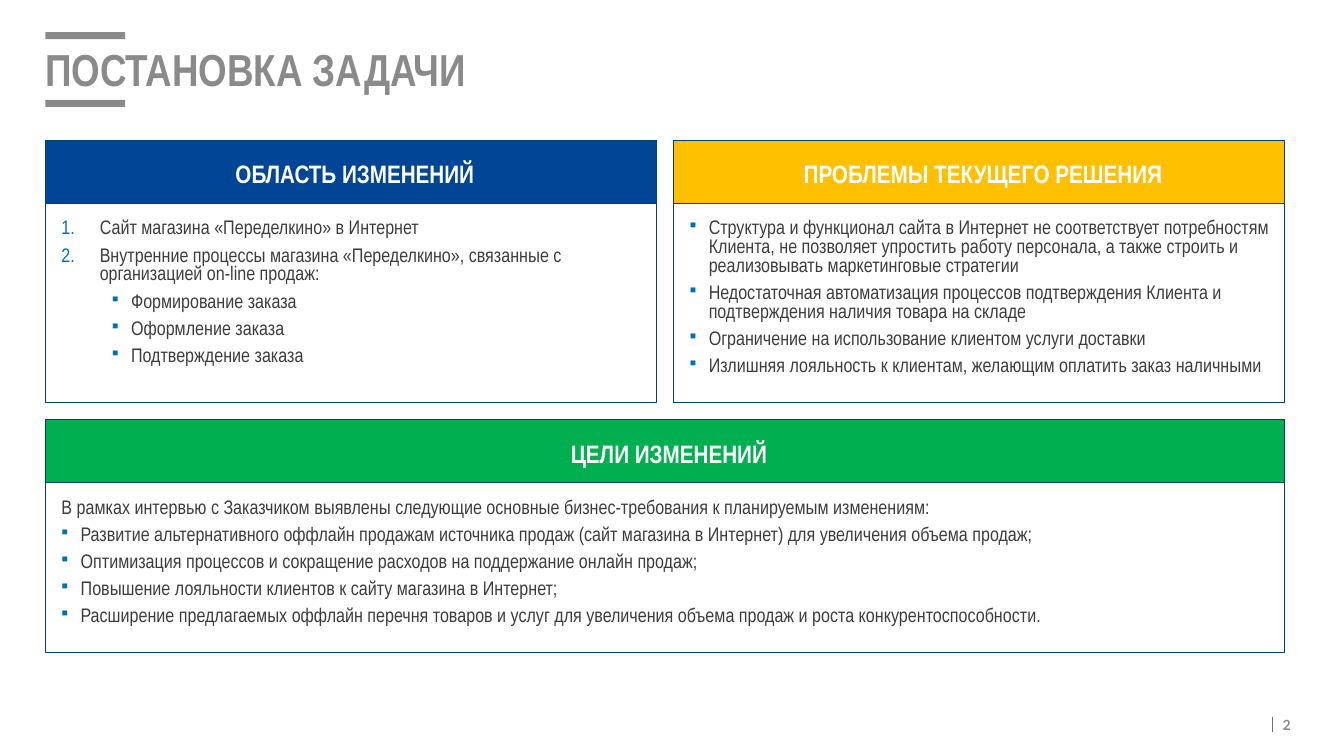
from dataclasses import dataclass

from lxml.etree import SubElement
from pptx import Presentation
from pptx.dml.color import RGBColor
from pptx.enum.shapes import MSO_CONNECTOR, MSO_SHAPE
from pptx.enum.text import MSO_ANCHOR, MSO_AUTO_SIZE, PP_ALIGN
from pptx.oxml.ns import qn
from pptx.util import Pt

PX = 9144
WIDE, HIGH = 1333, 750
EDGE, GAP = 45, 17


@dataclass(frozen=True)
class Theme:
    """Colours, fonts and type sizes of the deck."""
    gray: str = "8A8A8A"
    rule: str = "706F6F"
    line: str = "004077"
    mark: str = "0070BA"
    ink: str = "3C3C3C"
    white: str = "FFFFFF"
    blue: str = "004596"
    gold: str = "FFC000"
    green: str = "00B050"
    face: str = "Arial Narrow"
    small: str = "Lato"
    title: int = 32
    head: int = 18
    body: int = 14
    page: int = 10


LOOK = Theme()
STYLES = {
    "plain": (0, 0, 0, None),
    "number": (0, 38, -38, ("buAutoNum", "type", "arabicPeriod")),
    "square": (0, 19, -19, ("buChar", "char", "▪")),
    "sub": (1, 69, -19, ("buChar", "char", "▪")),
}

SCOPE = [
    ("number", "Сайт магазина «Переделкино» в Интернет"),
    ("number", "Внутренние процессы магазина «Переделкино», связанные с "
               "организацией on-line продаж:"),
    ("sub", "Формирование заказа"),
    ("sub", "Оформление заказа"),
    ("sub", "Подтверждение заказа"),
]
ISSUES = [
    ("square", "Структура и функционал сайта в Интернет не соответствует "
               "потребностям Клиента, не позволяет упростить работу персонала, "
               "а также строить и реализовывать маркетинговые стратегии"),
    ("square", "Недостаточная автоматизация процессов подтверждения Клиента и "
               "подтверждения наличия товара на складе"),
    ("square", "Ограничение на использование клиентом услуги доставки"),
    ("square", "Излишняя лояльность к клиентам, желающим оплатить заказ наличными"),
]
GOALS = [
    ("plain", "В рамках интервью с Заказчиком выявлены следующие основные "
              "бизнес-требования к планируемым изменениям:"),
    ("square", "Развитие альтернативного оффлайн продажам источника продаж "
               "(сайт магазина в Интернет) для увеличения объема продаж;"),
    ("square", "Оптимизация процессов и сокращение расходов на поддержание "
               "онлайн продаж;"),
    ("square", "Повышение лояльности клиентов к сайту магазина в Интернет;"),
    ("square", "Расширение предлагаемых оффлайн перечня товаров и услуг для "
               "увеличения объема продаж и роста конкурентоспособности."),
]


def assign(item, **values):
    """Set every given attribute on the item."""
    for name, value in values.items():
        setattr(item, name, value)


def scale(*sizes):
    """Turn px lengths into EMU."""
    return [size * PX for size in sizes]


def setup(frame, pad, anchor):
    """Set the insets, anchor and wrapping of a text frame."""
    left, top, right, foot = scale(*pad)
    assign(frame, margin_left=left, margin_top=top, margin_right=right,
           margin_bottom=foot, vertical_anchor=anchor, word_wrap=True,
           auto_size=MSO_AUTO_SIZE.NONE)


def write(para, text, size, color, bold=False, face=LOOK.face, **form):
    """Fill a paragraph with one formatted run."""
    assign(para, **{"alignment": PP_ALIGN.LEFT, **form})
    run = para.add_run()
    run.text = text
    assign(run.font, size=Pt(size), bold=bold, name=face)
    run.font.color.rgb = RGBColor.from_string(color)


def bullet(para, style):
    """Give a paragraph the level, indent and marker of its style."""
    level, left, hang, mark = STYLES[style]
    para.level = level
    props = para._p.get_or_add_pPr()
    props.set("marL", str(left * PX))
    props.set("indent", str(hang * PX))
    if mark:
        tag, key, value = mark
        color = SubElement(props, qn("a:buClr"))
        SubElement(color, qn("a:srgbClr"), val=LOOK.mark)
        SubElement(props, qn("a:buFont"), typeface=LOOK.face)
        SubElement(props, qn("a:" + tag), {key: value})


def block(slide, box, fill=None, line=None):
    """Draw a flat rectangle."""
    shape = slide.shapes.add_shape(MSO_SHAPE.RECTANGLE, *scale(*box))
    shape.shadow.inherit = False
    for part, color in ((shape.fill, fill), (shape.line.fill, line)):
        if color:
            part.solid()
            part.fore_color.rgb = RGBColor.from_string(color)
        else:
            part.background()
    if line:
        shape.line.width = Pt(0.75)
    return shape


def heading(slide, box, text):
    """Place the title between two short bars."""
    left, top, wide, high = box
    for y in (top - 4, top + high - 4):
        block(slide, (left, y, 79, 7), LOOK.gray)
    title = slide.shapes.title
    x, y, w, h = scale(*box)
    assign(title, left=x, top=y, width=w, height=h)
    setup(title.text_frame, (0, 8, 0, 0), MSO_ANCHOR.MIDDLE)
    write(title.text_frame.paragraphs[0], text, LOOK.title, LOOK.gray, True,
          line_spacing=0.8)


def panel(slide, box, color, name, items):
    """Draw a framed list under a coloured header."""
    left, top, wide, high = box
    frame = block(slide, box, line=LOOK.line).text_frame
    setup(frame, (16, 79, 12, 8), MSO_ANCHOR.TOP)
    for i, (style, text) in enumerate(items):
        para = frame.add_paragraph() if i else frame.paragraphs[0]
        bullet(para, style)
        write(para, text, LOOK.body, LOOK.ink, line_spacing=0.8,
              space_before=Pt(6))
    band = block(slide, (left, top, wide, 63), color, LOOK.line).text_frame
    setup(band, (16, 8, 8, 4), MSO_ANCHOR.MIDDLE)
    write(band.paragraphs[0], name, LOOK.head, LOOK.white, True,
          alignment=PP_ALIGN.CENTER)


def footer(slide, box, page):
    """Place the page number after a thin upright rule."""
    left, top, wide, high = box
    rule = slide.shapes.add_connector(
        MSO_CONNECTOR.STRAIGHT, *scale(left, top, left, top + 15))
    rule.line.width = Pt(0.75)
    rule.line.color.rgb = RGBColor.from_string(LOOK.rule)
    SubElement(rule._element.spPr, qn("a:effectLst"))
    note = slide.shapes.add_textbox(*scale(left + 10, top, wide - 10, high))
    setup(note.text_frame, (0, 0, 0, 0), MSO_ANCHOR.MIDDLE)
    write(note.text_frame.paragraphs[0], page, LOOK.page, LOOK.gray, True,
          LOOK.small, line_spacing=0.9)


def main():
    """Build the slide and save it."""
    deck = Presentation()
    deck.slide_width, deck.slide_height = scale(WIDE, HIGH)
    slide = deck.slides.add_slide(deck.slide_layouts[5])
    heading(slide, (EDGE, 36, 1244, 67), "ПОСТАНОВКА ЗАДАЧИ")
    half, top, high = 606, 139, 260
    panel(slide, (EDGE, top, half, high), LOOK.blue, "ОБЛАСТЬ ИЗМЕНЕНИЙ", SCOPE)
    panel(slide, (EDGE + half + GAP, top, half, high), LOOK.gold,
          "ПРОБЛЕМЫ ТЕКУЩЕГО РЕШЕНИЯ", ISSUES)
    panel(slide, (EDGE, top + high + GAP, 2 * half + GAP, 231), LOOK.green,
          "ЦЕЛИ ИЗМЕНЕНИЙ", GOALS)
    footer(slide, (1262, 711, 41, 18), "2")
    deck.save("out.pptx")


if __name__ == "__main__":
    main()
